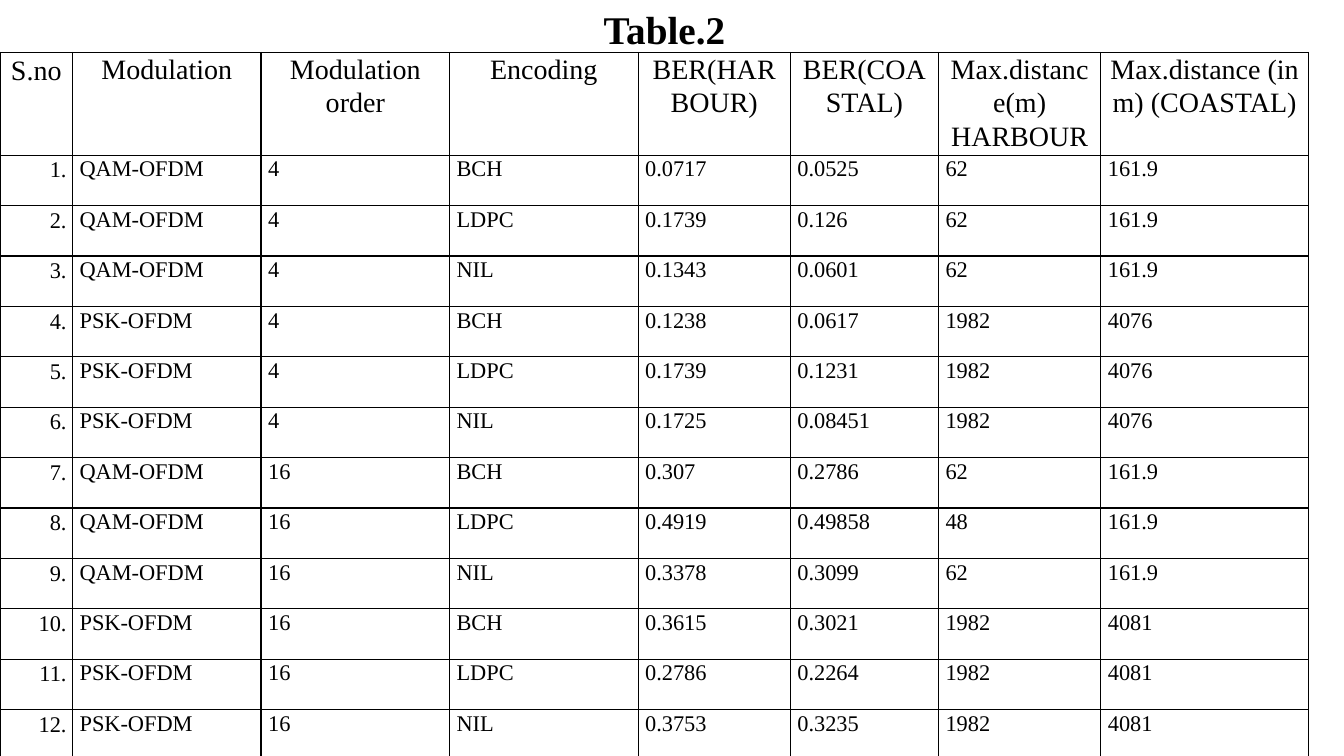
from lxml import etree
from pptx import Presentation
from pptx.dml.color import RGBColor
from pptx.enum.text import MSO_ANCHOR, PP_ALIGN
from pptx.oxml.ns import qn
from pptx.util import Inches, Pt

BLACK = RGBColor(0x00, 0x00, 0x00)
FONT = "Times New Roman"

HEADERS = ["S.no", "Modulation", "Modulation order", "Encoding", "BER(HARBOUR)",
           "BER(COASTAL)", "Max.distance(m) HARBOUR", "Max.distance (in m) (COASTAL)"]
RESULTS = [
    ["QAM-OFDM", "4", "BCH", "0.0717", "0.0525", "62", "161.9"],
    ["QAM-OFDM", "4", "LDPC", "0.1739", "0.126", "62", "161.9"],
    ["QAM-OFDM", "4", "NIL", "0.1343", "0.0601", "62", "161.9"],
    ["PSK-OFDM", "4", "BCH", "0.1238", "0.0617", "1982", "4076"],
    ["PSK-OFDM", "4", "LDPC", "0.1739", "0.1231", "1982", "4076"],
    ["PSK-OFDM", "4", "NIL", "0.1725", "0.08451", "1982", "4076"],
    ["QAM-OFDM", "16", "BCH", "0.307", "0.2786", "62", "161.9"],
    ["QAM-OFDM", "16", "LDPC", "0.4919", "0.49858", "48", "161.9"],
    ["QAM-OFDM", "16", "NIL", "0.3378", "0.3099", "62", "161.9"],
    ["PSK-OFDM", "16", "BCH", "0.3615", "0.3021", "1982", "4081"],
    ["PSK-OFDM", "16", "LDPC", "0.2786", "0.2264", "1982", "4081"],
    ["PSK-OFDM", "16", "NIL", "0.3753", "0.3235", "1982", "4081"],
]
COL_WIDTHS = [0.72, 1.87, 1.87, 1.87, 1.51, 1.47, 1.61, 2.06]
HEADER_HEIGHT, ROW_HEIGHT = 1.02, 0.5


def style_run(r, size, bold=False):
    r.font.name = FONT
    r.font.size = Pt(size)
    r.font.bold = bold
    r.font.color.rgb = BLACK


def add_borders(cell):
    tcPr = cell._tc.get_or_add_tcPr()
    for side in ("a:lnL", "a:lnR", "a:lnT", "a:lnB"):
        ln = etree.SubElement(tcPr, qn(side), w=str(Pt(1)))
        fill = etree.SubElement(ln, qn("a:solidFill"))
        etree.SubElement(fill, qn("a:srgbClr"), val=str(BLACK))


prs = Presentation()
prs.slide_width, prs.slide_height = Inches(13.33), Inches(7.5)
s = prs.slides.add_slide(prs.slide_layouts[5])

# Title
title = s.shapes.title
title.left, title.top = Inches(4.49), Inches(0)
title.width, title.height = Inches(4.2), Inches(0.57)
tf = title.text_frame
tf.text = "Table.2"
tf.vertical_anchor = MSO_ANCHOR.TOP
p = tf.paragraphs[0]
p.alignment = PP_ALIGN.CENTER
style_run(p.runs[0], 28, bold=True)

# Results table
rows = [HEADERS] + [[f"{n}."] + result for n, result in enumerate(RESULTS, 1)]
table = s.shapes.add_table(
    len(rows), len(HEADERS), Inches(0), Inches(0.52), Inches(sum(COL_WIDTHS)),
    Inches(HEADER_HEIGHT + ROW_HEIGHT * len(RESULTS))).table
table.first_row = table.horz_banding = False
for column, width in zip(table.columns, COL_WIDTHS):
    column.width = Inches(width)

for i, values in enumerate(rows):
    table.rows[i].height = Inches(ROW_HEIGHT if i else HEADER_HEIGHT)
    for j, value in enumerate(values):
        cell = table.cell(i, j)
        cell.margin_left = cell.margin_right = Inches(0.07 if j else 0.06)
        cell.margin_top = Inches(0 if j else 0.01)
        cell.margin_bottom = Inches(0)
        add_borders(cell)
        cell.fill.background()
        cell.text_frame.text = value
        p = cell.text_frame.paragraphs[0]
        p.line_spacing = 1.07
        if j == 0:
            p.space_after = Pt(8)
        if i == 0:
            p.alignment = PP_ALIGN.CENTER
        else:
            p.alignment = PP_ALIGN.JUSTIFY if j else PP_ALIGN.RIGHT
        style_run(p.runs[0], 16 if i else 20)

prs.save("out.pptx")
